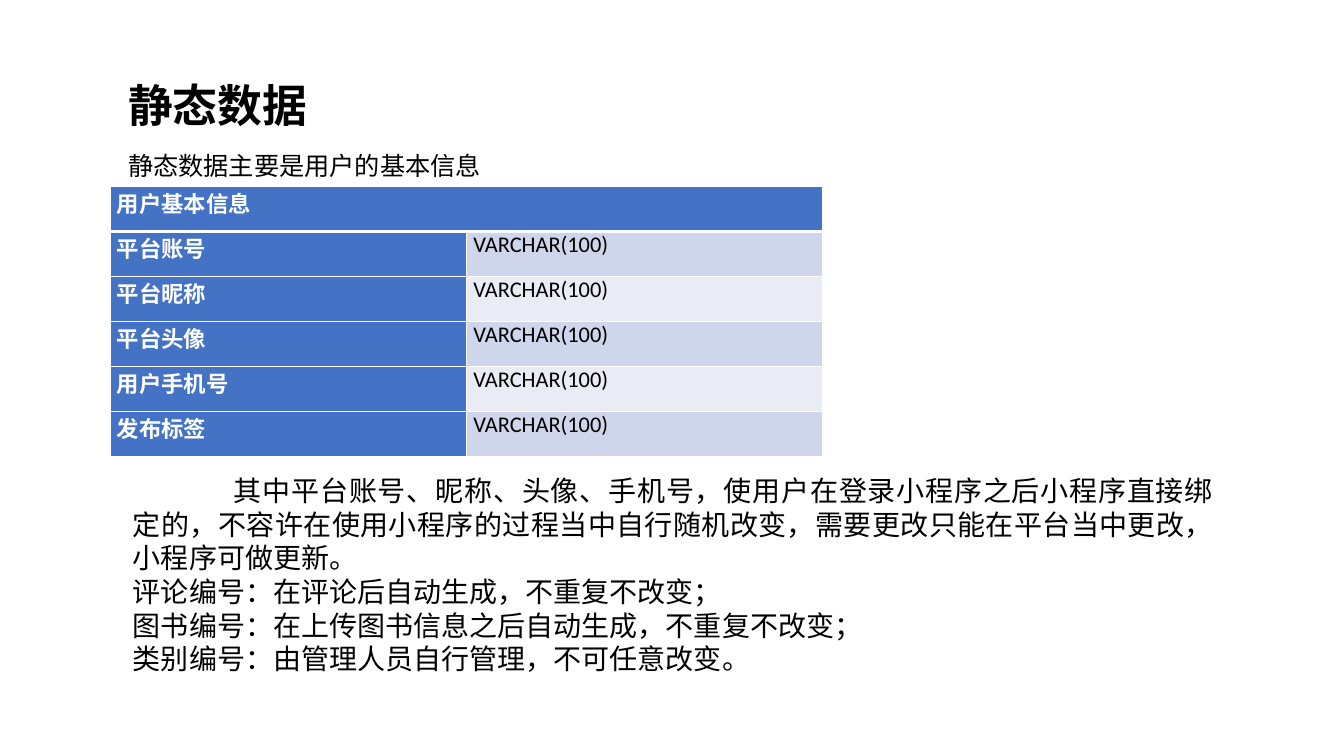
from lxml import etree
from pptx import Presentation
from pptx.dml.color import RGBColor
from pptx.enum import text
from pptx.oxml import ns
from pptx.util import Inches, Pt

COLORS = {
    "black": "000000",
    "white": "FFFFFF",
    "header": "4472C4",
    "band_dark": "CFD5EA",
    "band_light": "E9EBF5",
}


def write(paragraph, content, size, font="Calibri", color="black", bold=False,
          spacing=1.0, gap=0, indent=0):
    paragraph.text = content
    paragraph.alignment = text.PP_ALIGN.JUSTIFY
    paragraph.line_spacing = spacing
    paragraph.space_before = paragraph.space_after = Pt(gap)
    if indent:
        properties = paragraph._p.get_or_add_pPr()
        properties.set("marL", "0")
        properties.set("indent", str(Inches(indent)))
    run_font = paragraph.runs[0].font
    run_font.name = font
    run_font.size = Pt(size)
    run_font.bold = bold
    run_font.color.rgb = RGBColor.from_string(COLORS[color])


def style_cell(cell, fill, bottom_width):
    cell.margin_left = cell.margin_right = Inches(0.07)
    cell.margin_top = cell.margin_bottom = 0
    properties = cell._tc.get_or_add_tcPr()
    for side, width in (("L", 1), ("R", 1), ("T", 1), ("B", bottom_width)):
        line = etree.SubElement(properties, ns.qn(f"a:ln{side}"), w=str(Pt(width)))
        solid = etree.SubElement(line, ns.qn("a:solidFill"))
        etree.SubElement(solid, ns.qn("a:srgbClr"), val=COLORS["white"])
    cell.fill.solid()
    cell.fill.fore_color.rgb = RGBColor.from_string(COLORS[fill])


presentation = Presentation()
presentation.slide_width = Inches(13.33)
presentation.slide_height = Inches(7.5)
slide = presentation.slides.add_slide(presentation.slide_layouts[5])

title = slide.shapes.title
title.left, title.top = Inches(1.17), Inches(0.34)
title.width, title.height = Inches(6.67), Inches(1.51)
title_frame = title.text_frame
title_frame.word_wrap = True
title_frame.auto_size = text.MSO_AUTO_SIZE.NONE
title_frame.vertical_anchor = text.MSO_ANCHOR.TOP
write(title_frame.paragraphs[0], "静态数据", 32, font="Cambria", bold=True,
      spacing=1.72, gap=13)
title_frame.paragraphs[0].space_before = Pt(0)
write(title_frame.add_paragraph(), "静态数据主要是用户的基本信息", 18)

fields = ["平台账号", "平台昵称", "平台头像", "用户手机号", "发布标签"]
row_count = len(fields) + 1
table = slide.shapes.add_table(
    row_count, 2, Inches(1.09), Inches(1.85), Inches(7.07), Inches(2.68)).table
table.cell(0, 0).merge(table.cell(0, 1))
for column in range(2):
    style_cell(table.cell(0, column), "header", 3)
write(table.cell(0, 0).text_frame.paragraphs[0], "用户基本信息", 16,
      color="white", bold=True)
for row, field in enumerate(fields, start=1):
    name_cell, type_cell = table.cell(row, 0), table.cell(row, 1)
    style_cell(name_cell, "header", 1)
    style_cell(type_cell, "band_dark" if row % 2 else "band_light", 1)
    write(name_cell.text_frame.paragraphs[0], field, 16, color="white", bold=True)
    write(type_cell.text_frame.paragraphs[0], "VARCHAR(100)", 16)

notes = [
    "其中平台账号、昵称、头像、手机号，使用户在登录小程序之后小程序直接绑定的，"
    "不容许在使用小程序的过程当中自行随机改变，需要更改只能在平台当中更改，小程序可做更新。",
    "评论编号：在评论后自动生成，不重复不改变；",
    "图书编号：在上传图书信息之后自动生成，不重复不改变；",
    "类别编号：由管理人员自行管理，不可任意改变。",
]
notes_frame = slide.shapes.add_textbox(
    Inches(1.22), Inches(4.65), Inches(10.91), Inches(2.12)).text_frame
notes_frame.word_wrap = True
for index, note in enumerate(notes):
    paragraph = notes_frame.add_paragraph() if index else notes_frame.paragraphs[0]
    write(paragraph, note, 20, indent=0 if index else 1)

presentation.save("out.pptx")
